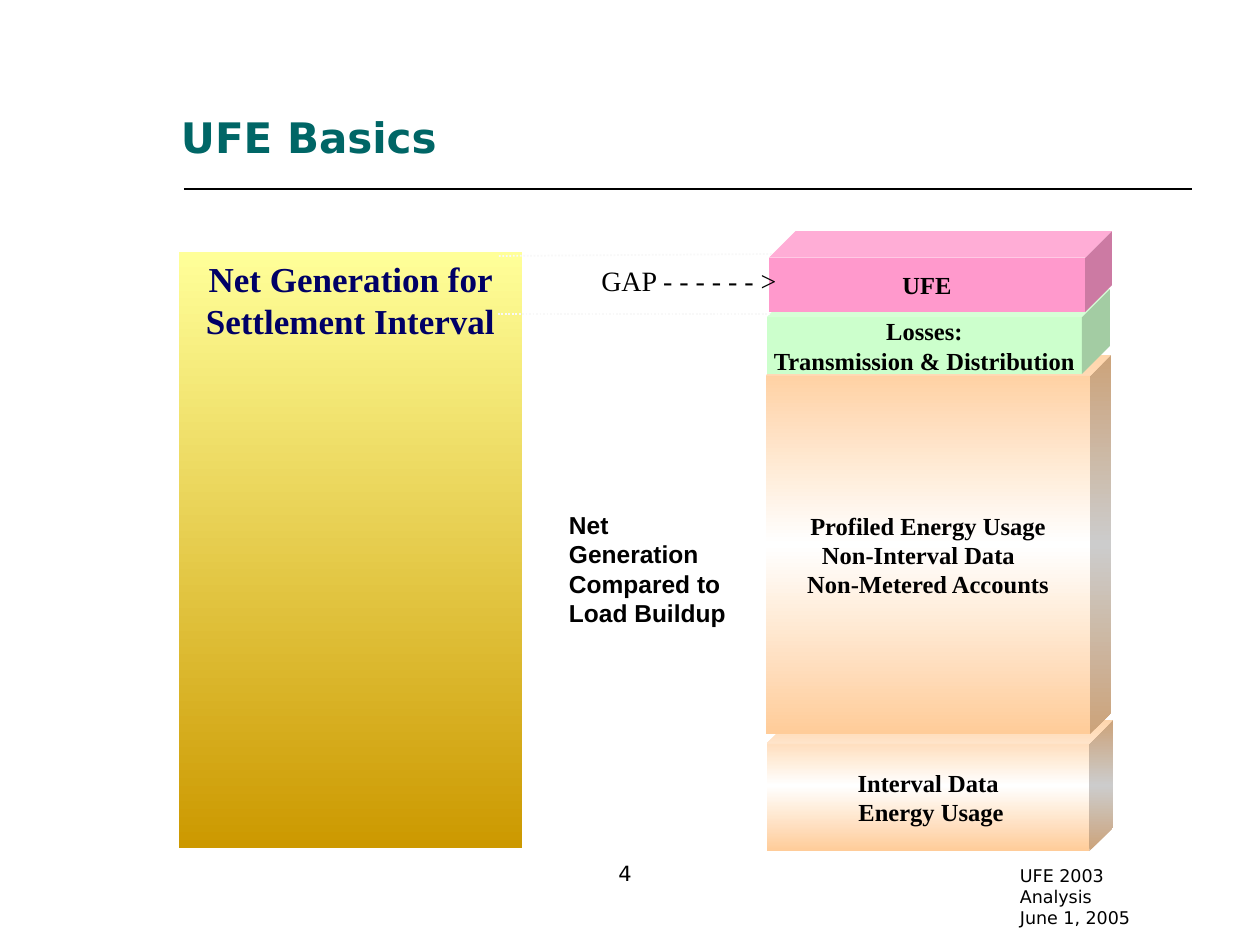
import copy
import pptx
import pptx.dml.color
import pptx.enum.dml
import pptx.enum.shapes
import pptx.enum.text
import pptx.oxml
import pptx.oxml.ns
import pptx.util

PX = 914400 // 126
SLIDE = (1260, 945)

SHAPES = pptx.enum.shapes.MSO_SHAPE
ANCHOR = pptx.enum.text.MSO_ANCHOR
ALIGN = pptx.enum.text.PP_ALIGN
LEFT, CENTER = ALIGN.LEFT, ALIGN.CENTER

# Fonts: name, size, bold, colour
TITLE_FONT = dict(name="DejaVu Sans", size=24, bold=True, color="006666")
FOOTER_FONT = dict(name="DejaVu Sans", size=10, bold=False, color="000000")
NUMBER_FONT = dict(FOOTER_FONT, size=12)
GENERATION_FONT = dict(name="Times New Roman", size=20, bold=True, color="000066")
LOAD_FONT = dict(GENERATION_FONT, size=14, color="000000")
GAP_FONT = dict(LOAD_FONT, size=16, bold=False)
CAPTION_FONT = dict(LOAD_FONT, name="Arial")

GOLD = ["FFFF99", "CC9900"]
PEACH = ["FFCC99", "FFFFFF", "FFCC99"]

# Lines of text: (words, alignment, indent in px)
# Blocks: preset, box, cube depth, colours, lines, font, anchor, side inset
BLOCKS = [
    (SHAPES.RECTANGLE, (179, 252, 343, 596), None, GOLD,
     [("Net Generation for Settlement Interval", CENTER, 0)],
     GENERATION_FONT, ANCHOR.TOP, 6),
    (SHAPES.CUBE, (767, 720, 346, 131), 0.18, PEACH,
     [("Interval Data", CENTER, 0), ("Energy Usage", CENTER, 6)],
     LOAD_FONT, ANCHOR.MIDDLE, 13),
    (SHAPES.CUBE, (766, 355, 345, 379), 0.06, PEACH,
     [("Profiled Energy Usage", CENTER, 0), ("Non-Interval Data", LEFT, 43),
      ("Non-Metered Accounts", CENTER, 0)],
     LOAD_FONT, ANCHOR.MIDDLE, 13),
    (SHAPES.CUBE, (767, 289, 343, 85), 0.33, ["CCFFCC"],
     [("Losses:", CENTER, 0), ("Transmission & Distribution", CENTER, 0)],
     LOAD_FONT, ANCHOR.MIDDLE, 6),
    (SHAPES.CUBE, (769, 231, 343, 81), 0.33, ["FF99CC"],
     [("UFE", CENTER, 0)], LOAD_FONT, ANCHOR.MIDDLE, 6),
]

# Labels: box, lines, font, anchor, wrap
LABELS = [
    ((168, 105, 819, 63), [("UFE Basics", LEFT, 0)], TITLE_FONT, ANCHOR.BOTTOM, True),
    ((1007, 859, 171, 55), [("UFE 2003 Analysis", LEFT, 0), ("June 1, 2005", LEFT, 0)],
     FOOTER_FONT, ANCHOR.TOP, True),
    ((588, 257, 202, 47), [("GAP - - - - - - >", CENTER, 0)],
     GAP_FONT, ANCHOR.MIDDLE, False),
    ((556, 504, 202, 101),
     [("Net Generation", LEFT, 0), ("Compared to", LEFT, 0), ("Load Buildup", LEFT, 0)],
     CAPTION_FONT, ANCHOR.TOP, False),
    ((557, 851, 136, 41), [("4", CENTER, 0)], NUMBER_FONT, ANCHOR.BOTTOM, True),
]

# Lines: ends, colour, dash
DOTS = pptx.enum.dml.MSO_LINE.ROUND_DOT
TITLE_RULE = ((184, 189, 1192, 189), "000000", None)
GAP_LINES = [((498, 314, 769, 314), "F8F8F8", DOTS),
             ((499, 256, 772, 254), "F8F8F8", DOTS)]


def emu(lengths):
    return [length * PX for length in lengths]


def rgb(color):
    return pptx.dml.color.RGBColor.from_string(color)


def write(frame, lines, font, anchor, inset, wrap=True):
    layout = dict(word_wrap=wrap, vertical_anchor=anchor,
                  margin_left=inset * PX, margin_right=inset * PX,
                  margin_top=6 * PX, margin_bottom=6 * PX)
    for key, value in layout.items():
        setattr(frame, key, value)
    for i, (words, align, indent) in enumerate(lines):
        paragraph = frame.paragraphs[0] if i == 0 else frame.add_paragraph()
        paragraph.alignment = align
        if indent:
            paragraph._p.get_or_add_pPr().set("marL", str(indent * PX))
        run = paragraph.add_run()
        run.text = words
        values = dict(name=font["name"], bold=font["bold"],
                      size=pptx.util.Pt(font["size"]))
        for key, value in values.items():
            setattr(run.font, key, value)
        run.font.color.rgb = rgb(font["color"])


def paint(shape, colors):
    if len(colors) == 1:
        shape.fill.solid()
        shape.fill.fore_color.rgb = rgb(colors[0])
        return
    shape.fill.gradient()
    shape.fill.gradient_angle = 270  # top to bottom
    stop_list = shape._element.spPr.find(".//" + pptx.oxml.ns.qn("a:gsLst"))
    while len(stop_list) < len(colors):
        stop_list.append(copy.deepcopy(stop_list[0]))
    for i, (stop, color) in enumerate(zip(shape.fill.gradient_stops, colors)):
        stop.position = i / (len(colors) - 1)
        stop.color.rgb = rgb(color)


def add_block(slide, preset, box, depth, colors, lines, font, anchor, inset):
    block = slide.shapes.add_shape(preset, *emu(box))
    block.shadow.inherit = False
    block.line.fill.background()
    if depth is not None:
        block.adjustments[0] = depth
    paint(block, colors)
    write(block.text_frame, lines, font, anchor, inset)


def add_line(slide, ends, color, dash):
    line = slide.shapes.add_connector(
        pptx.enum.shapes.MSO_CONNECTOR.STRAIGHT, *emu(ends))
    line.line.color.rgb = rgb(color)
    line.line.width = pptx.util.Pt(1)
    if dash is not None:
        line.line.dash_style = dash
    line._element.spPr.append(pptx.oxml.parse_xml(
        "<a:effectLst %s/>" % pptx.oxml.ns.nsdecls("a")))


def main():
    deck = pptx.Presentation()
    deck.slide_width, deck.slide_height = emu(SLIDE)
    slide = deck.slides.add_slide(deck.slide_layouts[6])

    # Rule under the title
    add_line(slide, *TITLE_RULE)

    # Generation block and load stack, bottom to top
    for block in BLOCKS:
        add_block(slide, *block)

    # Dotted edges of the gap
    for gap_line in GAP_LINES:
        add_line(slide, *gap_line)

    # Title, footer, captions and slide number
    for box, lines, font, anchor, wrap in LABELS:
        label = slide.shapes.add_textbox(*emu(box))
        write(label.text_frame, lines, font, anchor, 13, wrap)

    deck.save("out.pptx")


if __name__ == "__main__":
    main()
